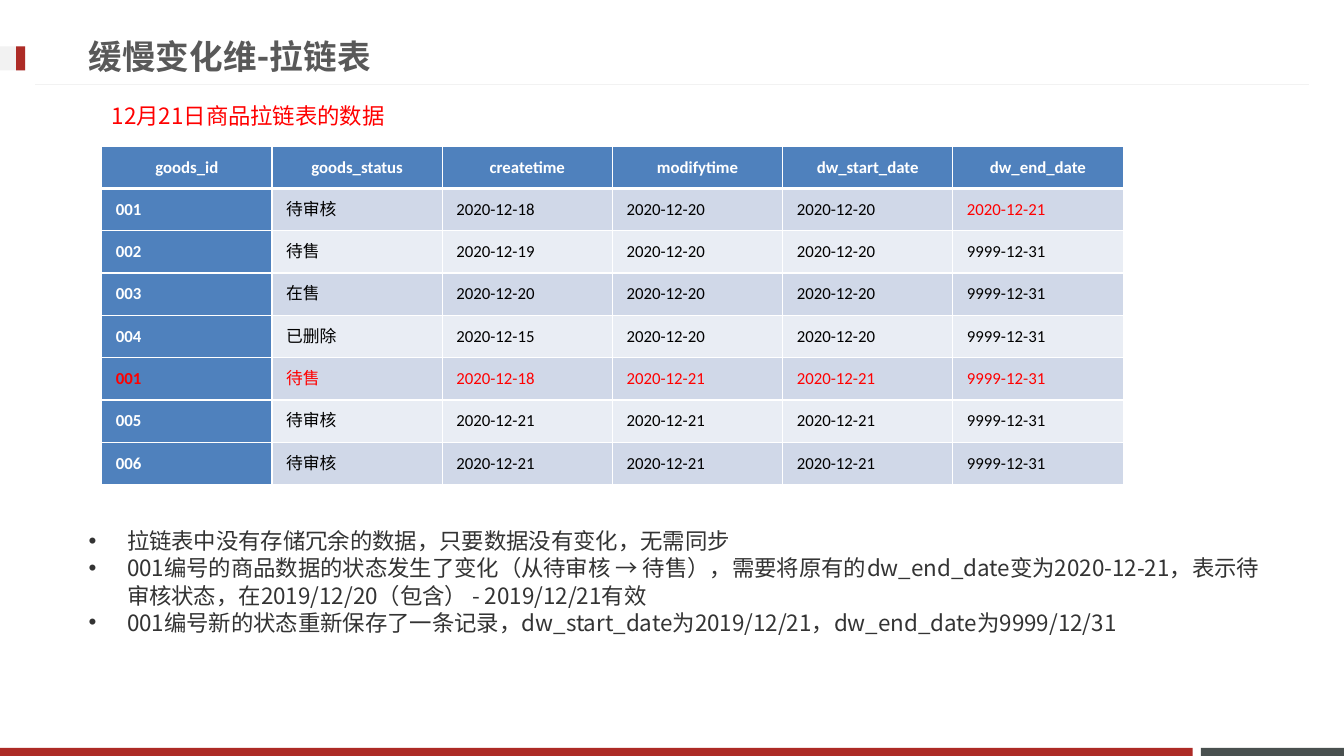
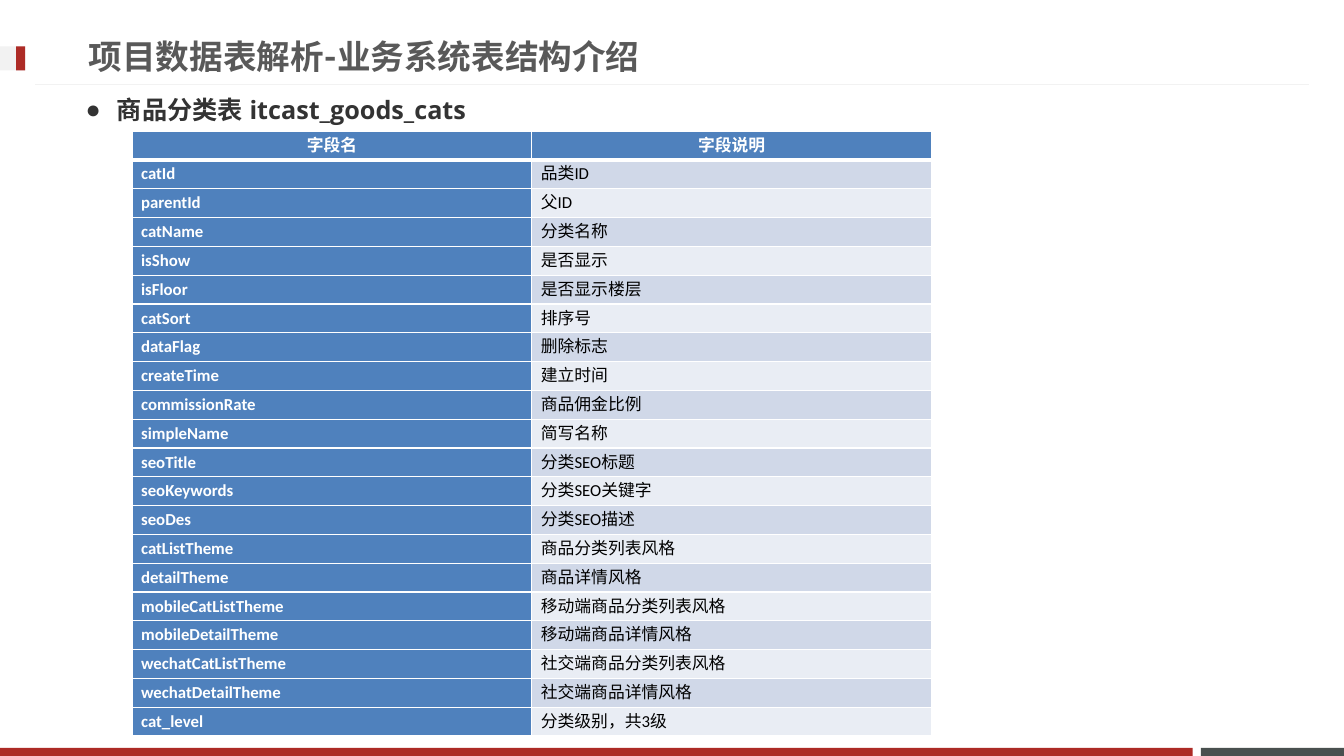
import dataclasses

import pptx
import pptx.dml.color
import pptx.enum.shapes
import pptx.enum.text
import pptx.oxml
import pptx.oxml.ns
import pptx.util
from lxml import etree

Inches = pptx.util.Inches
Pt = pptx.util.Pt
RGB = pptx.dml.color.RGBColor.from_string
qn = pptx.oxml.ns.qn
ALIGN = pptx.enum.text.PP_ALIGN
ANCHOR = pptx.enum.text.MSO_ANCHOR


@dataclasses.dataclass(frozen=True)
class Theme:
    red: str = "AD2B26"
    slate: str = "49504F"
    pale: str = "F2F2F2"
    title: str = "595959"
    body: str = "333333"
    alert: str = "FF0000"
    black: str = "000000"
    white: str = "FFFFFF"
    head: str = "4F81BD"
    bands: tuple = ("D0D8E8", "E9EDF4")
    title_font: str = "Roboto"
    heading_font: str = "Open Sans"
    body_font: str = "Noto Sans CJK SC"
    table_font: str = "Calibri"
    title_size: int = 24
    heading_size: int = 18
    body_size: int = 16
    table_size: int = 12
    body_leading: float = 19.4


def add_text(p, text, *, font, size, color, bold=False, align=ALIGN.LEFT,
             leading=None, bullet=None, indent=0):
    p.alignment = align
    p.space_before = Pt(0)
    if leading:
        p.line_spacing = Pt(leading)
    if bullet:
        pPr = p._p.get_or_add_pPr()
        pPr.set("marL", str(Inches(indent)))
        pPr.set("indent", str(-Inches(indent)))
        etree.SubElement(pPr, qn("a:buFont"), typeface="Arial")
        etree.SubElement(pPr, qn("a:buChar"), char=bullet)
    r = p.add_run()
    r.text = text
    r.font.name = font
    r.font.size = Pt(size)
    r.font.bold = bold
    r.font.color.rgb = RGB(color)
    etree.SubElement(r._r.get_or_add_rPr(), qn("a:ea"), typeface=font)


class Deck:
    def __init__(self, theme):
        self.theme = theme
        self.prs = pptx.Presentation()
        self.prs.slide_width = Inches(13.33)
        self.prs.slide_height = Inches(7.5)
        self.layout = self.prs.slide_layouts[1]
        self.slide = None

    def new_slide(self, title):
        first = self.slide is None
        self.slide = self.prs.slides.add_slide(self.layout)
        if first:
            self.decorate_layout()
        t = self.theme
        tf = self.place(self.slide.shapes.title, 0.78, 0.27, 9.59, 0.57)
        tf.vertical_anchor = ANCHOR.MIDDLE
        add_text(tf.paragraphs[0], title, font=t.title_font,
                 size=t.title_size, color=t.title, bold=True)

    def decorate_layout(self):
        t = self.theme
        parts = [
            self.rect(11.91, 7.42, 1.42, 0.08, t.slate),
            self.rect(0, 7.42, 11.83, 0.08, t.red),
            self.rule(0.35, 12.98, 0.84, t.pale),
            self.rect(0, 0.46, 0.25, 0.24, t.pale),
            self.rect(0.16, 0.46, 0.09, 0.24, t.red),
        ]
        for sp in parts:
            self.layout.shapes.element.append(sp.element)

    def rect(self, x, y, w, h, color):
        sp = self.slide.shapes.add_shape(
            pptx.enum.shapes.MSO_SHAPE.RECTANGLE,
            Inches(x), Inches(y), Inches(w), Inches(h))
        sp.shadow.inherit = False
        sp.fill.solid()
        sp.fill.fore_color.rgb = RGB(color)
        sp.line.fill.background()
        return sp

    def rule(self, x1, x2, y, color):
        line = self.slide.shapes.add_connector(
            pptx.enum.shapes.MSO_CONNECTOR.STRAIGHT,
            Inches(x1), Inches(y), Inches(x2), Inches(y))
        line.line.color.rgb = RGB(color)
        line.line.width = Pt(0.75)
        etree.SubElement(line.element.spPr, qn("a:effectLst"))
        return line

    def place(self, sp, x, y, w, h):
        sp.left, sp.top, sp.width, sp.height = map(Inches, (x, y, w, h))
        tf = sp.text_frame
        tf.word_wrap = True
        tf.auto_size = pptx.enum.text.MSO_AUTO_SIZE.NONE
        tf.vertical_anchor = ANCHOR.TOP
        return tf

    def caption(self, text, x, y, w, h):
        t = self.theme
        sp = self.slide.shapes.add_textbox(0, 0, 0, 0)
        tf = self.place(sp, x, y, w, h)
        add_text(tf.paragraphs[0], text, font=t.body_font, size=t.body_size,
                 color=t.alert, leading=t.body_leading)

    def bullets(self, items, x, y, w, h, **fmt):
        tf = self.place(self.slide.placeholders[1], x, y, w, h)
        for i, item in enumerate(items):
            p = tf.add_paragraph() if i else tf.paragraphs[0]
            add_text(p, item, color=self.theme.body, **fmt)

    def table(self, rows, x, y, w, h, pad_x, pad_y, alerts=()):
        n_rows, n_cols = len(rows), len(rows[0])
        tbl = self.slide.shapes.add_table(
            n_rows, n_cols, Inches(x), Inches(y), Inches(w), Inches(h)).table
        for col in tbl.columns:
            col.width = Inches(w / n_cols)
        for i, row in enumerate(rows):
            tbl.rows[i].height = Inches(h / n_rows)
            for j, text in enumerate(row):
                cell = tbl.cell(i, j)
                cell.margin_left = cell.margin_right = Inches(pad_x)
                cell.margin_top = cell.margin_bottom = Inches(pad_y)
                self.cell(cell, text, i, j, (i, j) in alerts)

    def cell(self, cell, text, i, j, alert):
        t = self.theme
        strong = i == 0 or j == 0
        cell.vertical_anchor = ANCHOR.MIDDLE
        cell.fill.solid()
        cell.fill.fore_color.rgb = RGB(t.head if strong else t.bands[(i - 1) % 2])
        self.borders(cell, top=3 if i == 1 else 1, bottom=3 if i == 0 else 1)
        color = t.alert if alert else t.white if strong else t.black
        add_text(cell.text_frame.paragraphs[0], text, font=t.table_font,
                 size=t.table_size, color=color, bold=strong,
                 align=ALIGN.LEFT if i else ALIGN.CENTER)

    def borders(self, cell, top, bottom):
        tcPr = cell._tc.get_or_add_tcPr()
        sides = (("L", 1), ("R", 1), ("T", top), ("B", bottom))
        for k, (side, width) in enumerate(sides):
            ln = etree.Element(qn(f"a:ln{side}"), w=str(Pt(width)))
            fill = etree.SubElement(ln, qn("a:solidFill"))
            etree.SubElement(fill, qn("a:srgbClr"), val=self.theme.white)
            tcPr.insert(k, ln)


GOODS = [
    ("goods_id", "goods_status", "createtime", "modifytime",
     "dw_start_date", "dw_end_date"),
    ("001", "待审核", "2020-12-18", "2020-12-20", "2020-12-20", "2020-12-21"),
    ("002", "待售", "2020-12-19", "2020-12-20", "2020-12-20", "9999-12-31"),
    ("003", "在售", "2020-12-20", "2020-12-20", "2020-12-20", "9999-12-31"),
    ("004", "已删除", "2020-12-15", "2020-12-20", "2020-12-20", "9999-12-31"),
    ("001", "待售", "2020-12-18", "2020-12-21", "2020-12-21", "9999-12-31"),
    ("005", "待审核", "2020-12-21", "2020-12-21", "2020-12-21", "9999-12-31"),
    ("006", "待审核", "2020-12-21", "2020-12-21", "2020-12-21", "9999-12-31"),
]
CHANGED = {(1, 5)} | {(5, j) for j in range(6)}

NOTES = [
    "拉链表中没有存储冗余的数据，只要数据没有变化，无需同步",
    "001编号的商品数据的状态发生了变化（从待审核 → 待售），需要将原有的"
    "dw_end_date变为2020-12-21，表示待审核状态，在2019/12/20（包含） - 2019/12/21有效",
    "001编号新的状态重新保存了一条记录，dw_start_date为2019/12/21，"
    "dw_end_date为9999/12/31",
]

CATEGORY_FIELDS = [
    ("字段名", "字段说明"),
    ("catId", "品类ID"),
    ("parentId", "父ID"),
    ("catName", "分类名称"),
    ("isShow", "是否显示"),
    ("isFloor", "是否显示楼层"),
    ("catSort", "排序号"),
    ("dataFlag", "删除标志"),
    ("createTime", "建立时间"),
    ("commissionRate", "商品佣金比例"),
    ("simpleName", "简写名称"),
    ("seoTitle", "分类SEO标题"),
    ("seoKeywords", "分类SEO关键字"),
    ("seoDes", "分类SEO描述"),
    ("catListTheme", "商品分类列表风格"),
    ("detailTheme", "商品详情风格"),
    ("mobileCatListTheme", "移动端商品分类列表风格"),
    ("mobileDetailTheme", "移动端商品详情风格"),
    ("wechatCatListTheme", "社交端商品分类列表风格"),
    ("wechatDetailTheme", "社交端商品详情风格"),
    ("cat_level", "分类级别，共3级"),
]


def main():
    t = Theme()
    deck = Deck(t)

    deck.new_slide("缓慢变化维-拉链表")
    deck.caption("12月21日商品拉链表的数据", 1.01, 0.96, 11.72, 0.37)
    deck.table(GOODS, 1.01, 1.45, 10.13, 3.36, 0.14, 0.06, CHANGED)
    deck.bullets(NOTES, 0.78, 5.18, 11.92, 1.18, font=t.body_font,
                 size=t.body_size, leading=t.body_leading,
                 bullet="•", indent=0.38)

    deck.new_slide("项目数据表解析-业务系统表结构介绍")
    deck.bullets(["商品分类表 itcast_goods_cats"], 0.75, 0.89, 5.17, 0.4,
                 font=t.heading_font, size=t.heading_size, bold=True,
                 bullet="●", indent=0.31)
    deck.table(CATEGORY_FIELDS, 1.31, 1.3, 7.93, 6.01, 0.09, 0.04)

    deck.prs.save("out.pptx")


if __name__ == "__main__":
    main()
